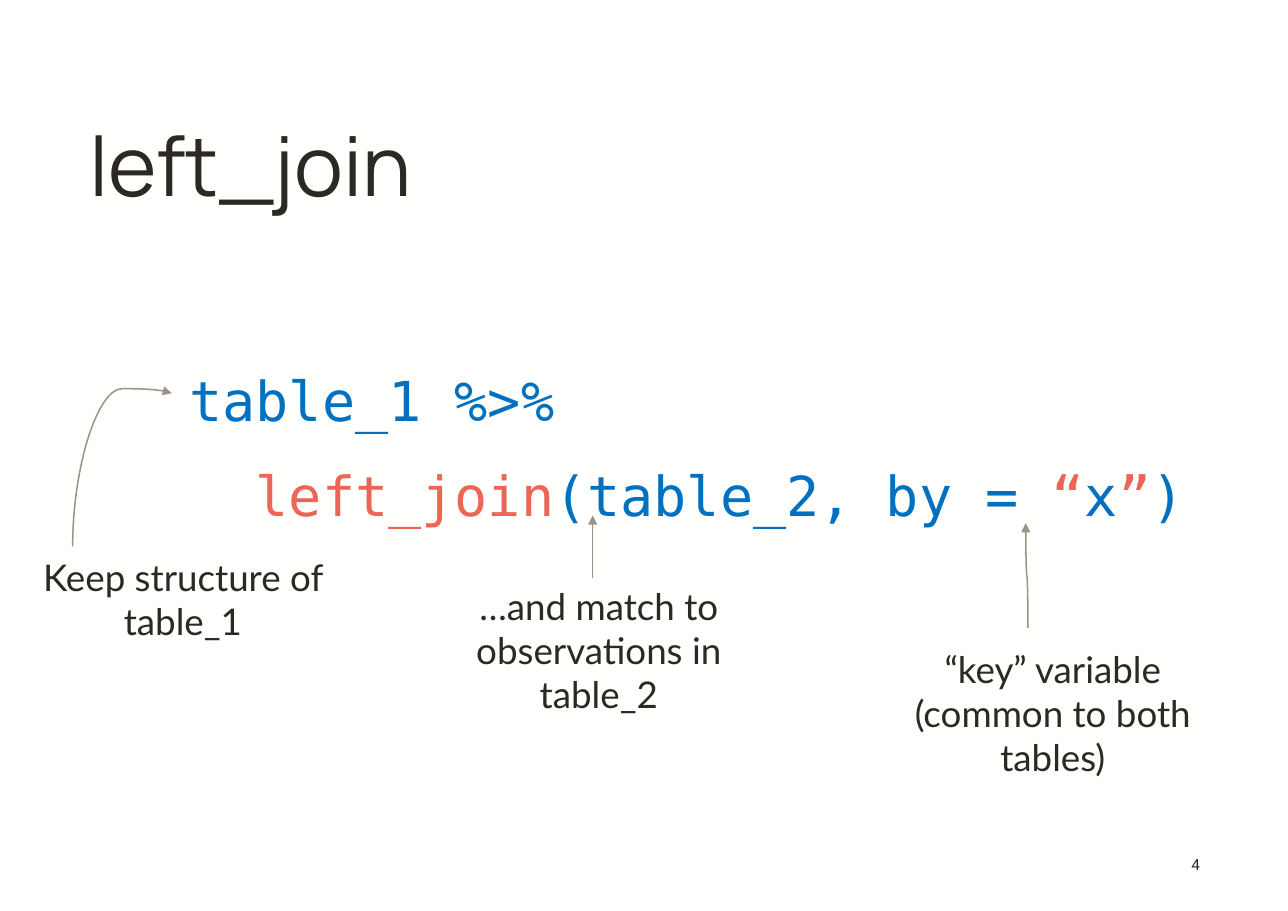
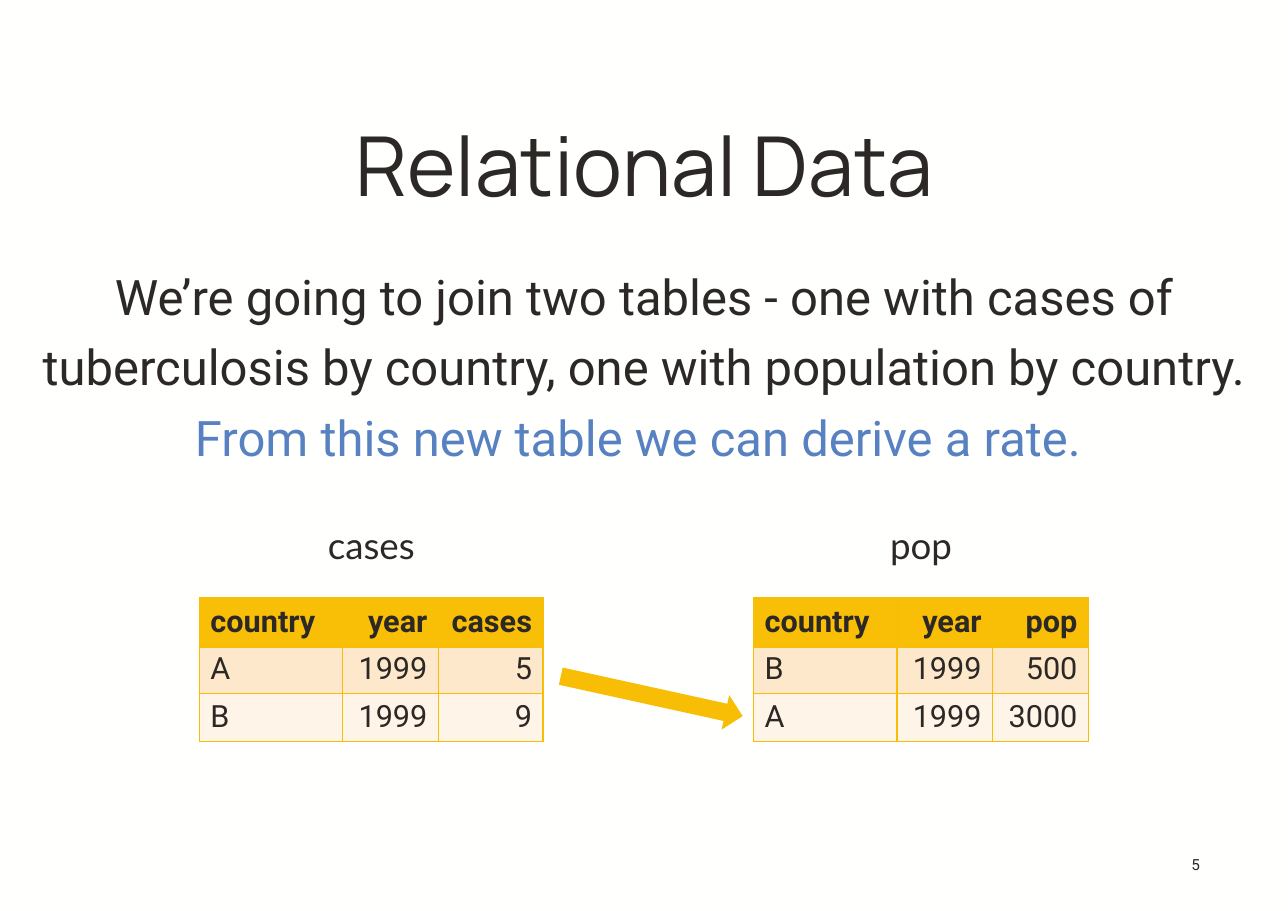
from lxml.etree import SubElement
from pptx import Presentation
from pptx.dml.color import RGBColor
from pptx.enum.shapes import MSO_CONNECTOR, MSO_SHAPE
from pptx.enum.text import MSO_ANCHOR, MSO_AUTO_SIZE, PP_ALIGN
from pptx.oxml.ns import qn
from pptx.util import Inches, Pt

PAPER = RGBColor(0xFF, 0xFF, 0xFE)
INK = RGBColor(0x2C, 0x28, 0x25)
CODE_BLUE = RGBColor(0x00, 0x70, 0xC0)
CORAL = RGBColor(0xEC, 0x65, 0x55)
SOFT_BLUE = RGBColor(0x58, 0x81, 0xC1)
TAUPE = RGBColor(0x9D, 0x92, 0x8A)
GOLD = RGBColor(0xF8, 0xBE, 0x05)
HEADER_GOLD = RGBColor(0xF9, 0xBF, 0x07)
ROW_FILLS = [HEADER_GOLD, RGBColor(0xFD, 0xE8, 0xCC), RGBColor(0xFE, 0xF4, 0xE7)]

TITLE_FONT, BODY_FONT, LABEL_FONT, CODE_FONT = "Manrope", "Roboto", "Lato", "DejaVu Sans Mono"
INSET = 0.08
ROW_HEIGHT = 0.43

CODE_LINES = [
    [("table_1 %>%", CODE_BLUE)],
    [("  ", CODE_BLUE), ("left_join", CORAL), ("(table_2, by = ", CODE_BLUE),
     ("“", CORAL), ("x", CODE_BLUE), ("”", CORAL), (")", CODE_BLUE)],
]
# text, box (left, top, width, height), arrow start, arrow end, bend
CALLOUTS = [
    ("“key” variable (common to both tables)", (8.13, 5.82, 2.85, 1.31), (9.33, 5.7), (9.31, 4.75), 0.5),
    ("Keep structure of table_1", (0.05, 4.99, 3.22, 0.91), (0.66, 4.96), (1.56, 3.57), 1.03),
    ("…and match to observations in table_2", (4.03, 5.25, 2.81, 1.31), (5.38, 5.25), (5.38, 4.68), 0.5),
]
INTRO = [[
    ("We’re going to join two tables - one with cases of tuberculosis by country, "
     "one with population by country. ", INK),
    ("From this new table we can derive a rate. ", SOFT_BLUE),
]]
# name, name left, table left, column widths, rows
TABLES = [
    ("cases", 2.27, 1.81, [1.3, 0.87, 0.95],
     [("country", "year", "cases"), ("A", "1999", "5"), ("B", "1999", "9")]),
    ("pop", 7.26, 6.84, [1.3, 0.87, 0.87],
     [("country", "year", "pop"), ("B", "1999", "500"), ("A", "1999", "3000")]),
]


def inches(values):
    return [Inches(value) for value in values]


def set_font(font, name, size, color, bold=False):
    font.name, font.size, font.bold = name, Pt(size), bold
    font.color.rgb = color


def set_insets(frame):
    frame.margin_left = frame.margin_right = frame.margin_top = frame.margin_bottom = Inches(INSET)


def add_text(slide, box, text, font, size, align):
    frame = slide.shapes.add_textbox(*inches(box)).text_frame
    frame.word_wrap = True
    frame.text = text
    paragraph = frame.paragraphs[0]
    paragraph.alignment = align
    set_font(paragraph.runs[0].font, font, size, INK)
    return frame


def add_body(slide, box, lines, font, size, align):
    """Add spaced paragraphs, each a list of (text, colour) runs."""
    frame = slide.shapes.add_textbox(*inches(box)).text_frame
    frame.word_wrap = True
    set_insets(frame)
    for index, line in enumerate(lines):
        paragraph = frame.add_paragraph() if index else frame.paragraphs[0]
        paragraph.alignment = align
        paragraph.line_spacing = 1.2
        paragraph.space_after = Pt(10)
        for text, color in line:
            run = paragraph.add_run()
            run.text = text
            set_font(run.font, font, size, color)


def add_titled_slide(prs, title, align, number):
    slide = prs.slides.add_slide(prs.slide_layouts[5])
    heading = slide.shapes.title
    heading.left, heading.top, heading.width, heading.height = inches((0.73, 1.22, 10.24, 0.79))
    frame = heading.text_frame
    frame.text = title
    frame.word_wrap = True
    frame.auto_size = MSO_AUTO_SIZE.NONE
    frame.vertical_anchor = MSO_ANCHOR.BOTTOM
    set_insets(frame)
    frame.paragraphs[0].alignment = align
    set_font(frame.paragraphs[0].runs[0].font, TITLE_FONT, 54, INK)
    set_insets(add_text(slide, (10.18, 7.68, 0.79, 0.4), number, BODY_FONT, 10, PP_ALIGN.RIGHT))
    return slide


def add_rising_arrow(slide, start, end, bend):
    """Add a curved connector that leaves upwards: drawn lying down, then turned 270 degrees."""
    (x1, y1), (x2, y2) = start, end
    center_x, center_y = (x1 + x2) / 2, (y1 + y2) / 2
    half_rise, half_run = (y1 - y2) / 2, (x2 - x1) / 2
    arrow = slide.shapes.add_connector(MSO_CONNECTOR.CURVE, *inches((
        center_x - half_rise, center_y - half_run, center_x + half_rise, center_y + half_run)))
    arrow.line.color.rgb = TAUPE
    arrow.line.width = Pt(1)
    properties = arrow._element.spPr
    properties.find(qn("a:xfrm")).set("rot", str(270 * 60000))
    guides = properties.find(qn("a:prstGeom")).find(qn("a:avLst"))
    SubElement(guides, qn("a:gd"), name="adj1", fmla=f"val {round(bend * 100000)}")
    SubElement(properties.find(qn("a:ln")), qn("a:tailEnd"), type="triangle")
    SubElement(properties, qn("a:effectLst"))


def format_cell(cell, text, row, column):
    cell.text = text
    paragraph = cell.text_frame.paragraphs[0]
    paragraph.alignment = PP_ALIGN.RIGHT if column else PP_ALIGN.LEFT
    set_font(paragraph.runs[0].font, BODY_FONT, 20, INK, bold=row == 0)
    properties = cell._tc.get_or_add_tcPr()
    for side in ("lnL", "lnR", "lnT", "lnB"):
        weight = 3 if row == 0 and side == "lnB" else 1
        border = SubElement(properties, qn(f"a:{side}"), w=str(Pt(weight)))
        SubElement(SubElement(border, qn("a:solidFill")), qn("a:srgbClr"), val=str(GOLD))
    cell.fill.solid()
    cell.fill.fore_color.rgb = ROW_FILLS[row]


def add_data_table(slide, left, widths, rows):
    table = slide.shapes.add_table(len(rows), len(widths), *inches(
        (left, 5.43, sum(widths), ROW_HEIGHT * len(rows)))).table
    for column, width in zip(table.columns, widths):
        column.width = Inches(width)
    for row, values in enumerate(rows):
        for column, text in enumerate(values):
            format_cell(table.cell(row, column), text, row, column)


def build_join_slide(prs):
    slide = add_titled_slide(prs, "left_join", PP_ALIGN.LEFT, "4")
    add_body(slide, (1.64, 3.13, 9.8, 2), CODE_LINES, CODE_FONT, 36, PP_ALIGN.LEFT)
    for text, box, start, end, bend in CALLOUTS:
        add_text(slide, box, text, LABEL_FONT, 24, PP_ALIGN.CENTER)
        add_rising_arrow(slide, start, end, bend)


def build_data_slide(prs):
    slide = add_titled_slide(prs, "Relational Data", PP_ALIGN.CENTER, "5")
    add_body(slide, (0.26, 2.23, 11.18, 5.44), INTRO, BODY_FONT, 32, PP_ALIGN.CENTER)
    for name, name_left, table_left, widths, rows in TABLES:
        add_text(slide, (name_left, 4.7, 2.2, 0.5), name, LABEL_FONT, 24, PP_ALIGN.CENTER)
        add_data_table(slide, table_left, widths, rows)
    match_arrow = slide.shapes.add_shape(MSO_SHAPE.RIGHT_ARROW, *inches((5.07, 6.16, 1.69, 0.32)))
    match_arrow.rotation = 12.4
    match_arrow.shadow.inherit = False
    match_arrow.fill.solid()
    match_arrow.fill.fore_color.rgb = GOLD
    match_arrow.line.fill.background()


def main():
    prs = Presentation()
    prs.slide_width, prs.slide_height = inches((11.69, 8.27))
    backdrop = prs.slide_master.background.fill
    backdrop.solid()
    backdrop.fore_color.rgb = PAPER
    build_join_slide(prs)
    build_data_slide(prs)
    prs.save("out.pptx")


if __name__ == "__main__":
    main()
